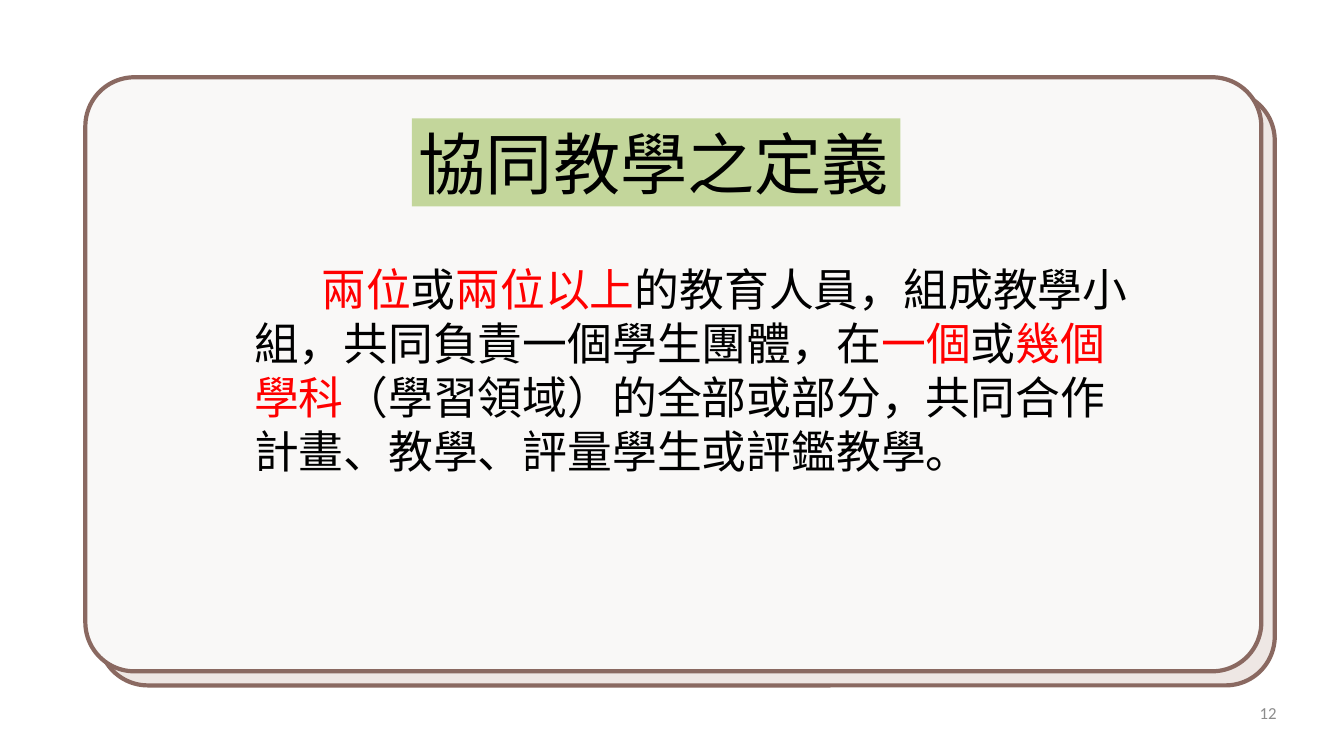
"""Build the slide that defines team teaching."""
from lxml import etree
from pptx import Presentation
from pptx.dml.color import RGBColor
from pptx.enum.shapes import MSO_SHAPE
from pptx.enum.text import MSO_ANCHOR, MSO_AUTO_SIZE, PP_ALIGN
from pptx.oxml.ns import qn
from pptx.util import Inches, Pt

ROUNDED = MSO_SHAPE.ROUNDED_RECTANGLE
TOP = MSO_ANCHOR.TOP
NO_AUTOFIT = MSO_AUTO_SIZE.NONE
LEFT, RIGHT = PP_ALIGN.LEFT, PP_ALIGN.RIGHT

COLORS = {
    "back card": "EEE7E4", "front card": "F9F8F7", "outline": "8A6961",
    "title": "C3D69B", "text": "000000", "key": "FF0000", "number": "8C8C8C",
}
FONT = "Noto Sans CJK SC"
TITLE = "協同教學之定義"
DEFINITION = [
    ("\t兩位", "key"),
    ("或", "text"),
    ("兩位以上", "key"),
    ("的教育人員，組成教學小組，共同負責一個學生團體，在", "text"),
    ("一個", "key"),
    ("或", "text"),
    ("幾個學科", "key"),
    ("（學習領域）的全部或部分，共同合作計畫、教學、評量學生或評鑑教學。", "text"),
]
PAGE_NUMBER = "12"
CARD_SIZE = (17.5, 8.84)
CARD_RADIUS = 0.73
CARDS = [("back card", 1.47, 1.36), ("front card", 1.27, 1.15)]


def color(name):
    return RGBColor.from_string(COLORS[name])


def place(shape, left, top, width, height):
    shape.left, shape.top = Inches(left), Inches(top)
    shape.width, shape.height = Inches(width), Inches(height)


def add_card(slide, name, left, top):
    width, height = CARD_SIZE
    shape = slide.shapes.add_shape(
        ROUNDED, Inches(left), Inches(top), Inches(width), Inches(height))
    shape.adjustments[0] = CARD_RADIUS / min(CARD_SIZE)
    shape.shadow.inherit = False
    shape.fill.solid()
    shape.fill.fore_color.rgb = color(name)
    shape.line.color.rgb = color("outline")
    shape.line.width = Pt(4.5)


def write(shape, runs, size, font, align, wrap):
    frame = shape.text_frame
    frame.auto_size = NO_AUTOFIT
    frame.word_wrap = wrap
    frame.vertical_anchor = TOP
    paragraph = frame.paragraphs[0]
    paragraph.alignment = align
    for text, name in runs:
        run = paragraph.add_run()
        run.text = text
        run.font.color.rgb = color(name)
    properties = paragraph._p.get_or_add_pPr()
    etree.SubElement(properties, qn("a:buNone"))
    paragraph.font.size = Pt(size)
    paragraph.font.name = font
    east_asian = etree.SubElement(properties.find(qn("a:defRPr")), qn("a:ea"))
    east_asian.set("typeface", font)
    return paragraph


def main():
    presentation = Presentation()
    presentation.slide_width, presentation.slide_height = Inches(20), Inches(11.25)
    slide = presentation.slides.add_slide(presentation.slide_layouts[1])
    title, body = slide.placeholders
    for card in CARDS:
        add_card(slide, *card)
    for placeholder in (title, body):
        slide.shapes._spTree.append(placeholder._element)

    place(title, 6.13, 1.76, 7.27, 1.31)
    title.fill.solid()
    title.fill.fore_color.rgb = color("title")
    paragraph = write(title, [(TITLE, "text")], 72, FONT, LEFT, False)
    paragraph.line_spacing = Pt(87)

    place(body, 3.68, 3.84, 13.28, 3.33)
    paragraph = write(body, DEFINITION, 48, FONT, LEFT, True)
    paragraph.line_spacing = Pt(58)
    paragraph.space_before = Pt(0)
    properties = paragraph._p.pPr
    properties.set("marL", "0")
    properties.set("indent", str(Inches(0.5)))
    tabs = etree.Element(qn("a:tabLst"))
    etree.SubElement(tabs, qn("a:tab"), pos=str(Inches(1)), algn="l")
    properties.find(qn("a:buNone")).addnext(tabs)

    number = slide.shapes.add_textbox(0, 0, 0, 0)
    place(number, 14.4, 10.46, 4.6, 0.56)
    frame = number.text_frame
    frame.margin_left = frame.margin_right = frame.margin_top = frame.margin_bottom = 0
    write(number, [(PAGE_NUMBER, "number")], 18, "Calibri", RIGHT, True)

    presentation.save("out.pptx")


if __name__ == "__main__":
    main()
